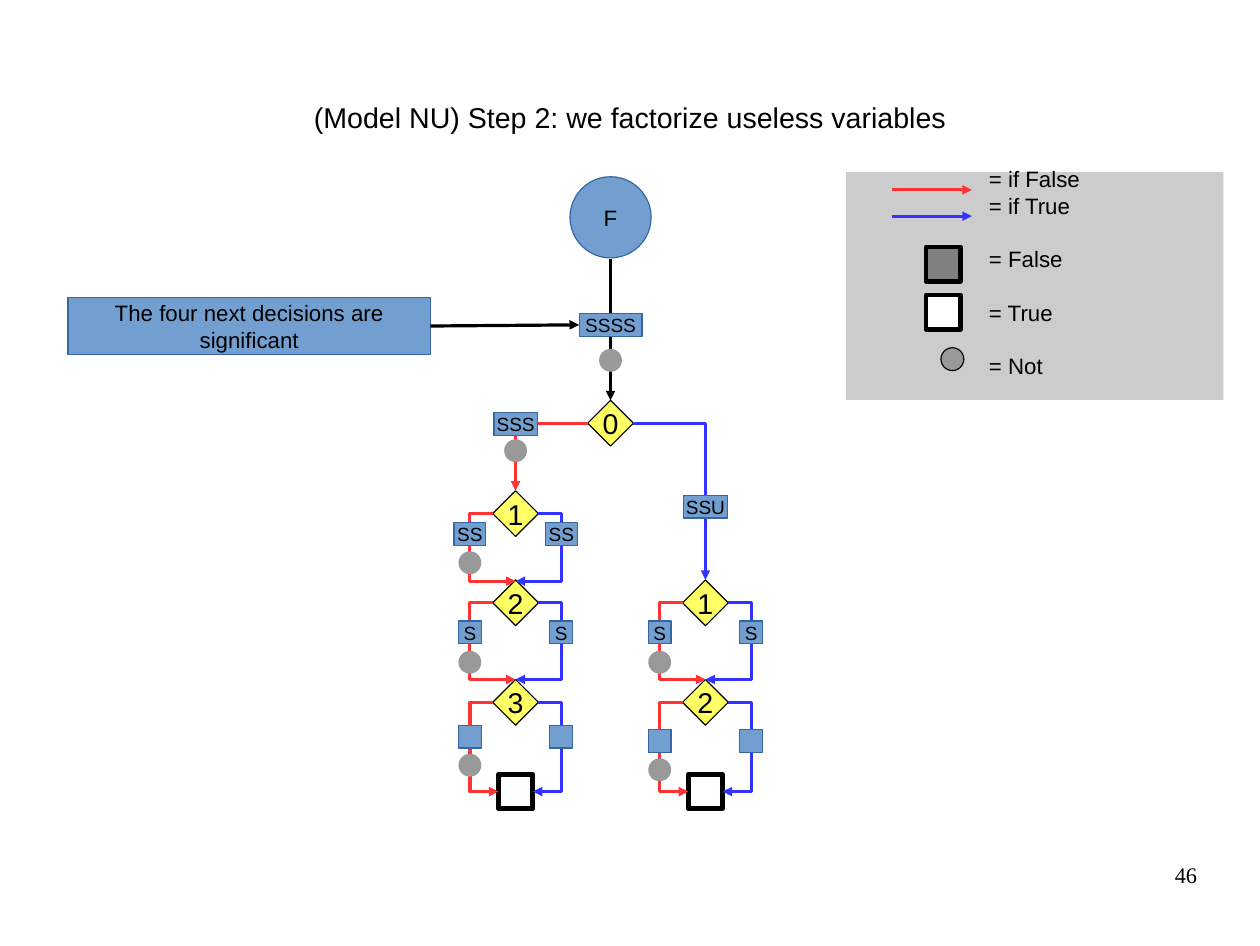
from dataclasses import dataclass
from typing import Optional

from lxml import etree
from pptx import Presentation
from pptx import util as u
from pptx.dml.color import RGBColor
from pptx.enum import shapes, text
from pptx.oxml import ns

BLACK = RGBColor(0x00, 0x00, 0x00)
WHITE = RGBColor(0xFF, 0xFF, 0xFF)
BLUE = RGBColor(0x72, 0x9F, 0xCF)
BLUE_EDGE = RGBColor(0x34, 0x65, 0xA4)
YELLOW = RGBColor(0xFF, 0xFF, 0x66)
NOT_GRAY = RGBColor(0x99, 0x99, 0x99)
FALSE_GRAY = RGBColor(0x80, 0x80, 0x80)
LEGEND_GRAY = RGBColor(0xCC, 0xCC, 0xCC)
IF_FALSE = RGBColor(0xFF, 0x33, 0x33)
IF_TRUE = RGBColor(0x33, 0x33, 0xFF)

RECT = shapes.MSO_SHAPE.RECTANGLE
OVAL = shapes.MSO_SHAPE.OVAL
DIAMOND = shapes.MSO_SHAPE.DIAMOND
CENTER = text.PP_ALIGN.CENTER
LEFT_X, ROOT_X, RIGHT_X = 4.51, 5.34, 6.17
BRANCH = 0.4
TERMINAL_Y = 6.92


@dataclass
class Decision:
    variable: str
    x: float
    y: float


@dataclass
class Loop:
    x: float
    start_y: float
    end_y: float
    end_gap: float
    label: str
    label_width: float
    label_y: float
    not_y: float


@dataclass
class Label:
    words: str
    x: float
    y: float
    width: float


DECISIONS = [
    Decision("0", ROOT_X, 3.7),
    Decision("1", LEFT_X, 4.49),
    Decision("1", RIGHT_X, 5.27),
    Decision("2", LEFT_X, 5.27),
    Decision("3", LEFT_X, 6.14),
    Decision("2", RIGHT_X, 6.14),
]
LOOPS = [
    Loop(LEFT_X, 4.49, 5.08, 0, "SS", 0.28, 4.67, 4.92),
    Loop(LEFT_X, 5.27, 5.94, 0, "S", 0.2, 5.53, 5.79),
    Loop(LEFT_X, 6.14, TERMINAL_Y, 0.15, "", 0.2, 6.44, 6.69),
    Loop(RIGHT_X, 5.27, 5.94, 0, "S", 0.2, 5.53, 5.79),
    Loop(RIGHT_X, 6.14, TERMINAL_Y, 0.15, "", 0.2, 6.48, 6.73),
]
LABELS = [
    Label("SSSS", ROOT_X, 2.84, 0.55),
    Label("SSS", LEFT_X, 3.71, 0.38),
    Label("SSU", RIGHT_X, 4.43, 0.38),
]


def write(frame, words: str, size: float, font: str = "Arial", align=CENTER) -> None:
    frame.text = words
    for para in frame.paragraphs:
        para.alignment = align
        for span in para.runs:
            span.font.size = u.Pt(size)
            span.font.name = font
            span.font.color.rgb = BLACK


def add_node(page, kind, x: float, y: float, width: float, height: float, fill: RGBColor,
             edge: Optional[RGBColor] = None, weight: float = 0, words: str = "", size: float = 14):
    node = page.shapes.add_shape(kind, u.Inches(x - width / 2), u.Inches(y - height / 2),
                                 u.Inches(width), u.Inches(height))
    node.shadow.inherit = False
    node.fill.solid()
    node.fill.fore_color.rgb = fill
    if edge is None:
        node.line.fill.background()
    else:
        node.line.color.rgb = edge
        node.line.width = u.Pt(weight)
    if words:
        node.text_frame.word_wrap = False
        node.text_frame.vertical_anchor = text.MSO_ANCHOR.MIDDLE
        write(node.text_frame, words, size)
    return node


def add_arrow(page, x1: float, y1: float, x2: float, y2: float, color: RGBColor,
              preset: str = "line", bend: Optional[float] = None):
    kind = shapes.MSO_CONNECTOR.STRAIGHT if preset == "line" else shapes.MSO_CONNECTOR.ELBOW
    arrow = page.shapes.add_connector(kind, u.Inches(x1), u.Inches(y1), u.Inches(x2), u.Inches(y2))
    arrow.line.color.rgb = color
    arrow.line.width = u.Pt(0)
    props = arrow._element.spPr
    etree.SubElement(props.find(ns.qn("a:ln")), ns.qn("a:tailEnd"), type="triangle")
    etree.SubElement(props, ns.qn("a:effectLst"))
    geometry = props.find(ns.qn("a:prstGeom"))
    geometry.set("prst", preset)
    if bend is not None:
        guides = geometry.find(ns.qn("a:avLst"))
        ratio = round((bend - x1) / (x2 - x1) * 100000)
        etree.SubElement(guides, ns.qn("a:gd"), name="adj1", fmla=f"val {ratio}")
    return arrow


def add_joined(page, start, start_site: int, end, end_site: int, color: RGBColor,
               preset: str = "line") -> None:
    arrow = add_arrow(page, 0, 0, 1, 1, color, preset)
    arrow.begin_connect(start, start_site)
    arrow.end_connect(end, end_site)


def add_label(page, label: Label):
    return add_node(page, RECT, label.x, label.y, label.width, 0.2, BLUE, BLUE_EDGE,
                    words=label.words, size=12)


def add_not(page, x: float, y: float, edge: Optional[RGBColor] = None) -> None:
    add_node(page, OVAL, x, y, 0.2, 0.2, NOT_GRAY, edge)


def add_loop(page, loop: Loop) -> None:
    for side, color in ((-1, IF_FALSE), (1, IF_TRUE)):
        branch_x = loop.x + side * BRANCH
        add_arrow(page, loop.x + side * 0.2, loop.start_y, loop.x + side * loop.end_gap,
                  loop.end_y, color, "bentConnector3", branch_x)
        add_label(page, Label(loop.label, branch_x, loop.label_y, loop.label_width))
    add_not(page, loop.x - BRANCH, loop.not_y)


def add_text(page, words: str, left: float, top: float, width: float, height: float,
             size: float, font: str, align, anchor) -> None:
    box = page.shapes.add_textbox(u.Inches(left), u.Inches(top), u.Inches(width), u.Inches(height))
    frame = box.text_frame
    frame.word_wrap = True
    frame.vertical_anchor = anchor
    frame.margin_left = frame.margin_right = frame.margin_top = frame.margin_bottom = 0
    write(frame, words, size, font, align)


def add_legend(page) -> None:
    panel = add_node(page, RECT, 9.05, 2.5, 3.3, 1.99, LEGEND_GRAY)
    frame = panel.text_frame
    frame.word_wrap = True
    frame.vertical_anchor = text.MSO_ANCHOR.MIDDLE
    frame.margin_left, frame.margin_top, frame.margin_bottom = u.Inches(1.25), 0, u.Inches(0.24)
    write(frame, "= if False\n= if True\n= False\n= True\n= Not", 14, align=text.PP_ALIGN.LEFT)
    for index, para in enumerate(frame.paragraphs):
        para.line_spacing = u.Pt(16.8)
        if index > 1:
            para.space_before = u.Pt(16.8)
    for y, color in ((1.66, IF_FALSE), (1.89, IF_TRUE)):
        add_arrow(page, 7.8, y, 8.5, y, color)
    for y, fill in ((2.31, FALSE_GRAY), (2.73, WHITE)):
        add_node(page, RECT, 8.25, y, 0.3, 0.3, fill, BLACK, 3)
    add_not(page, 8.33, 3.14, BLACK)


def main() -> None:
    deck = Presentation()
    deck.slide_width, deck.slide_height = u.Inches(11.02), u.Inches(8.27)
    page = deck.slides.add_slide(deck.slide_layouts[6])

    add_text(page, "(Model NU) Step 2: we factorize useless variables", 0.55, 0.33, 9.92, 1.38,
             18, "Arial", CENTER, text.MSO_ANCHOR.MIDDLE)
    function = add_node(page, OVAL, ROOT_X, 1.9, 0.71, 0.71, BLUE, BLUE_EDGE, words="F")
    root, left, right, *_ = [
        add_node(page, DIAMOND, item.x, item.y, 0.4, 0.4, YELLOW, BLACK, words=item.variable, size=18)
        for item in DECISIONS
    ]
    for x in (LEFT_X, RIGHT_X):
        add_node(page, RECT, x, TERMINAL_Y, 0.3, 0.3, WHITE, BLACK, 3)

    add_arrow(page, ROOT_X, 2.26, ROOT_X, 3.5, BLACK)
    add_joined(page, root, 1, left, 0, IF_FALSE, "bentConnector2")
    add_joined(page, root, 3, right, 0, IF_TRUE, "bentConnector2")
    for loop in LOOPS:
        add_loop(page, loop)
    add_not(page, ROOT_X, 3.15)
    add_not(page, LEFT_X, 3.94)
    first_label, *_ = [add_label(page, label) for label in LABELS]
    note = add_node(page, RECT, 2.18, 2.85, 3.17, 0.5, BLUE, BLUE_EDGE,
                    words="The four next decisions are\nsignificant")
    add_joined(page, note, 3, first_label, 1, BLACK)

    add_legend(page)
    add_text(page, "46", 7.9, 7.53, 2.57, 0.57, 14, "Times New Roman",
             text.PP_ALIGN.RIGHT, text.MSO_ANCHOR.TOP)
    deck.save("out.pptx")


if __name__ == "__main__":
    main()
